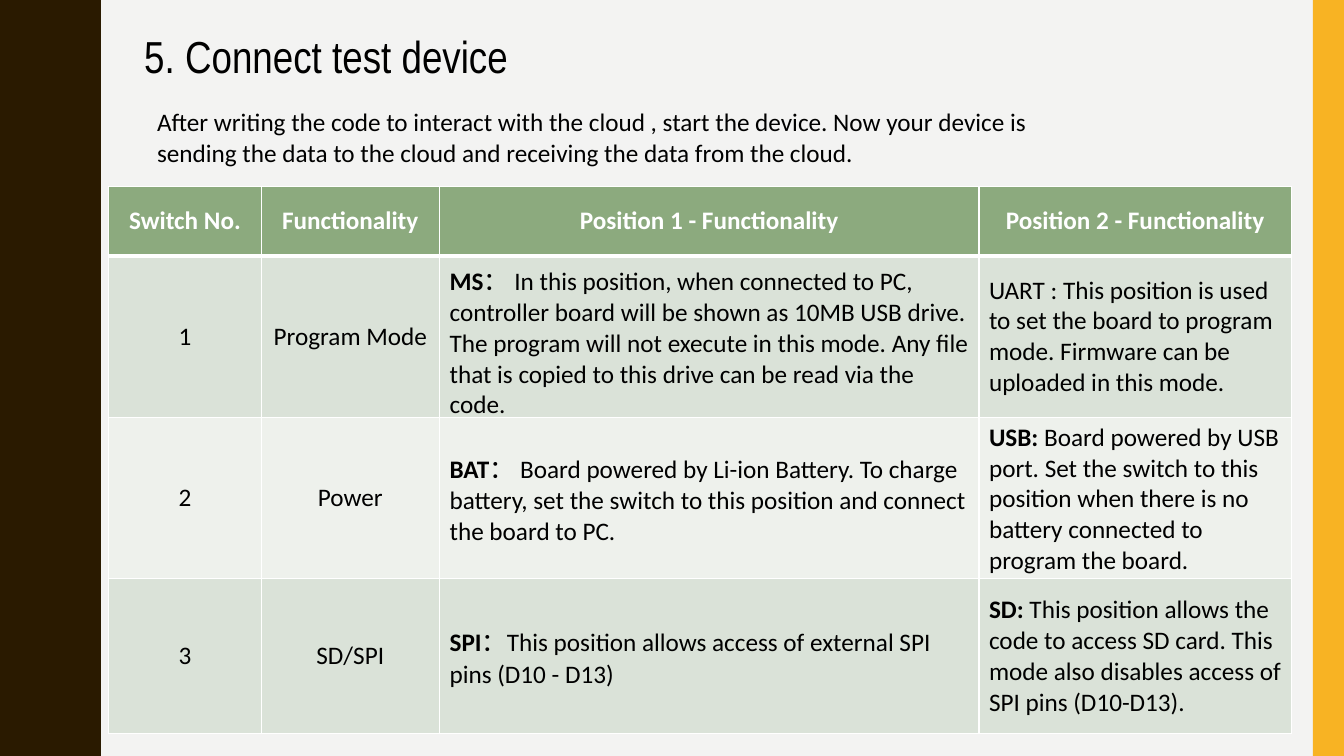
import pptx
import pptx.dml.color
import pptx.enum.shapes
import pptx.enum.text
import pptx.oxml
import pptx.oxml.ns
import pptx.util

Inches = pptx.util.Inches
Pt = pptx.util.Pt
ALIGN = pptx.enum.text.PP_ALIGN
MIDDLE = pptx.enum.text.MSO_ANCHOR.MIDDLE

SLIDE_W, SLIDE_H = 13.33, 7.5
BLACK, WHITE = "000000", "FFFFFF"
HEADER_FILL, BAND_FILLS = "8CAA7E", ("DAE2D8", "EEF1EC")

# Half a wave of the left edge, as (x, y) in inches; the other half mirrors it
WAVE_LENGTH, WAVE_COUNT = 1.5, 5
HALF_WAVE = [(0.78, 0), (0.78, 0.07), (0.79, 0.14), (0.8, 0.2), (0.81, 0.25),
             (0.83, 0.29), (0.85, 0.33), (0.87, 0.38), (0.89, 0.42), (0.91, 0.46),
             (0.93, 0.5), (0.95, 0.55), (0.96, 0.61), (0.97, 0.68), (0.97, 0.75)]

COLUMN_WIDTHS = [1.51, 1.77, 5.35, 3.1]
ROW_HEIGHTS = [0.69, 1.54, 1.54, 1.54]
HEADERS = ["Switch No.", "Functionality", "Position 1 - Functionality", "Position 2 - Functionality"]
# Each cell holds a bold part and a regular part
SWITCHES = [
    [("", "1"), ("", "Program Mode"),
     ("MS", "： In this position, when connected to PC, controller board will be shown as "
            "10MB USB drive. The program will not execute in this mode. Any file that is "
            "copied to this drive can be read via the code."),
     ("", "UART : This position is used to set the board to program mode. "
          "Firmware can be uploaded in this mode.")],
    [("", "2"), ("", "Power"),
     ("BAT", "： Board powered by Li-ion Battery. To charge battery, set the switch to this "
             "position and connect the board to PC."),
     ("USB: ", "Board powered by USB port. Set the switch to this position when there is no "
               "battery connected to program the board.")],
    [("", "3"), ("", "SD/SPI"),
     ("SPI", "：This position allows access of external SPI pins (D10 - D13)"),
     ("SD: ", "This position allows the code to access SD card. This mode also disables "
              "access of SPI pins (D10-D13).")],
]


def rgb(hex_color):
    return pptx.dml.color.RGBColor.from_string(hex_color)


def paint(item, hex_color):
    item.fill.solid()
    item.fill.fore_color.rgb = rgb(hex_color)


def style_run(run, size=18, font="Calibri", color=BLACK, bold=False):
    run.font.size = Pt(size)
    run.font.name = font
    run.font.bold = bold
    run.font.color.rgb = rgb(color)


def finish_shape(shape, color):
    paint(shape, color)
    shape.line.fill.background()
    shape.shadow.inherit = False


def add_side_bands(slide):
    # Wavy dark band on the left
    wave = HALF_WAVE + [(x, WAVE_LENGTH - y) for x, y in HALF_WAVE[-2::-1]]
    edge = [(x, y + i * WAVE_LENGTH) for i in range(WAVE_COUNT) for x, y in wave]
    builder = slide.shapes.build_freeform(0, 0, scale=Inches(1))
    builder.add_line_segments(edge + [(0, SLIDE_H)], close=True)
    finish_shape(builder.convert_to_shape(), "2A1A00")
    # Yellow band on the right
    width = 0.31
    band = slide.shapes.add_shape(
        pptx.enum.shapes.MSO_SHAPE.RECTANGLE,
        Inches(SLIDE_W - width), 0, Inches(width), Inches(SLIDE_H))
    finish_shape(band, "F8B323")


def add_title(slide, left, top, width, height):
    title = slide.shapes.title
    title.left, title.top = Inches(left), Inches(top)
    title.width, title.height = Inches(width), Inches(height)
    frame = title.text_frame
    frame.text = "5. Connect test device"
    frame.word_wrap = False
    frame.auto_size = pptx.enum.text.MSO_AUTO_SIZE.NONE
    frame.vertical_anchor = MIDDLE
    frame.paragraphs[0].alignment = ALIGN.LEFT
    style_run(frame.paragraphs[0].runs[0], 32, "Arial Narrow")


def add_intro(slide, left, top, width, height):
    intro = slide.shapes.add_textbox(Inches(left), Inches(top), Inches(width), Inches(height))
    frame = intro.text_frame
    frame.word_wrap = True
    frame.text = ("After writing the code to interact with the cloud , start the device. "
                  "Now your device is sending the data to the cloud and receiving the data "
                  "from the cloud.")
    style_run(frame.paragraphs[0].runs[0])


def set_borders(cell, top, bottom):
    properties = cell._tc.get_or_add_tcPr()
    for side, points in (("L", 1), ("R", 1), ("T", top), ("B", bottom)):
        properties.append(pptx.oxml.parse_xml(
            f'<a:ln{side} {pptx.oxml.ns.nsdecls("a")} w="{Pt(points)}"><a:solidFill>'
            f'<a:srgbClr val="{WHITE}"/></a:solidFill></a:ln{side}>'))


def fill_cell(cell, bold_part, regular_part, color, centered):
    paragraph = cell.text_frame.paragraphs[0]
    paragraph.alignment = ALIGN.CENTER if centered else ALIGN.LEFT
    cell.vertical_anchor = MIDDLE
    for text, bold in ((bold_part, True), (regular_part, False)):
        if text:
            run = paragraph.add_run()
            run.text = text
            style_run(run, color=color, bold=bold)


def add_switch_table(slide, left, top):
    table = slide.shapes.add_table(
        len(ROW_HEIGHTS), len(COLUMN_WIDTHS), Inches(left), Inches(top),
        Inches(sum(COLUMN_WIDTHS)), Inches(sum(ROW_HEIGHTS))).table
    for column, width in zip(table.columns, COLUMN_WIDTHS):
        column.width = Inches(width)
    for row, height in zip(table.rows, ROW_HEIGHTS):
        row.height = Inches(height)
    rows = [[(header, "") for header in HEADERS]] + SWITCHES
    for r, parts in enumerate(rows):
        is_header = r == 0
        for c, (bold_part, regular_part) in enumerate(parts):
            cell = table.cell(r, c)
            set_borders(cell, top=3 if r == 1 else 1, bottom=3 if is_header else 1)
            paint(cell, HEADER_FILL if is_header else BAND_FILLS[(r - 1) % 2])
            fill_cell(cell, bold_part, regular_part,
                      WHITE if is_header else BLACK, centered=is_header or c < 2)


def main():
    deck = pptx.Presentation()
    deck.slide_width, deck.slide_height = Inches(SLIDE_W), Inches(SLIDE_H)
    slide = deck.slides.add_slide(deck.slide_layouts.get_by_name("Title Only"))
    paint(slide.background, "F3F3F2")
    add_side_bands(slide)
    add_title(slide, 1.33, 0.23, 4.38, 0.64)
    add_intro(slide, 1.46, 1.01, 8.99, 0.71)
    add_switch_table(slide, 1.08, 1.85)
    deck.save("out.pptx")


if __name__ == "__main__":
    main()
